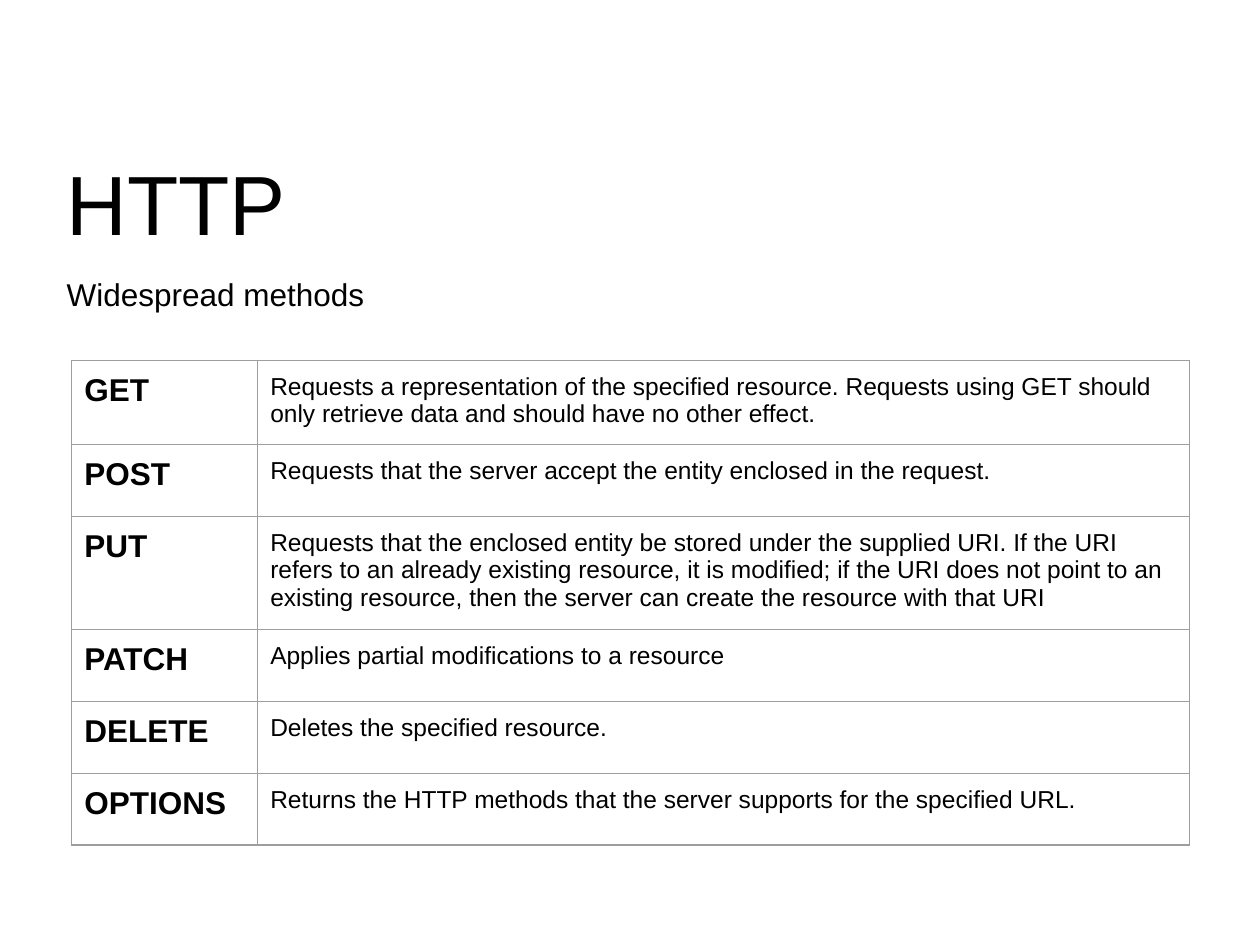
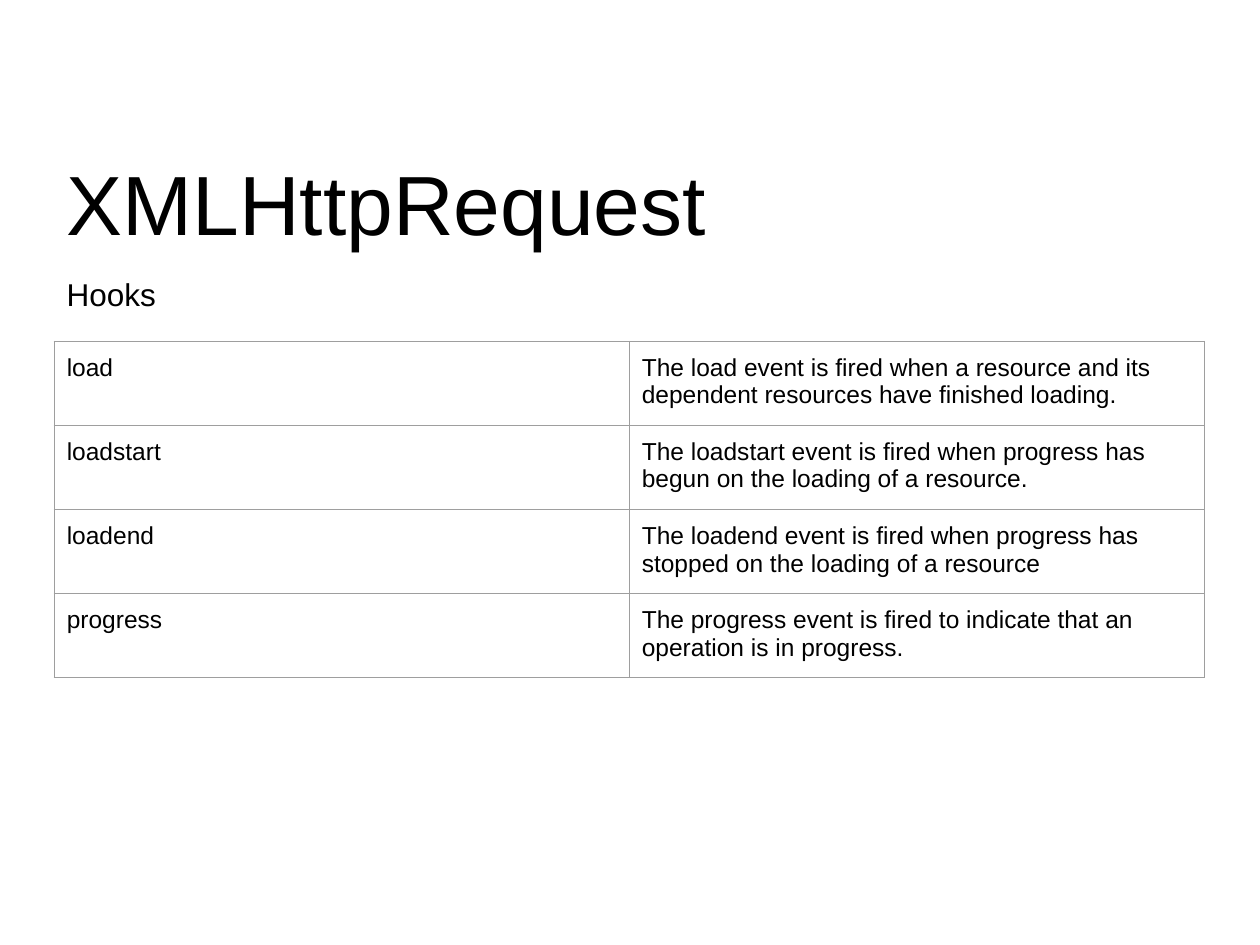
from lxml import etree
from pptx import Presentation
from pptx.dml.color import RGBColor
from pptx.enum import text
from pptx.oxml import ns
from pptx.util import Pt

BLACK = RGBColor(0, 0, 0)
WHITE = RGBColor(255, 255, 255)
GREY = RGBColor(0x9E, 0x9E, 0x9E)
FACE = "Arial"
LEFT = 30.96
PAD = 7.2
RULE = 0.75

HEAD = {"size": Pt(48)}
SUB = {"size": Pt(18)}
NAME = {"size": Pt(18), "bold": True}
BODY = {"size": Pt(14), "bold": False}

PAGES = [
    {
        "head": "HTTP", "sub": "Widespread methods",
        "tall": 67.68, "wide": 668.88,
        "at": (41.04, 205.92),
        "cols": (106.2, 532.4),
        "rows": [36.72] + [41.04] * 5,
        "looks": (NAME, BODY),
        "cells": [
            ("GET", "Requests a representation of the specified resource. "
                    "Requests using GET should only retrieve data and should "
                    "have no other effect."),
            ("POST", "Requests that the server accept the entity enclosed in "
                     "the request."),
            ("PUT", "Requests that the enclosed entity be stored under the "
                    "supplied URI. If the URI refers to an already existing "
                    "resource, it is modified; if the URI does not point to "
                    "an existing resource, then the server can create the "
                    "resource with that URI"),
            ("PATCH", "Applies partial modifications to a resource"),
            ("DELETE", "Deletes the specified resource."),
            ("OPTIONS", "Returns the HTTP methods that the server supports "
                        "for the specified URL."),
        ],
    },
    {
        "head": "XMLHttpRequest", "sub": "Hooks",
        "tall": 84.96, "wide": 658.8,
        "at": (LEFT, 195.12),
        "cols": (328.6, 328.6),
        "rows": [33.3] * 4,
        "looks": (BODY, BODY),
        "cells": [
            ("load", "The load event is fired when a resource and its "
                     "dependent resources have finished loading."),
            ("loadstart", "The loadstart event is fired when progress has "
                          "begun on the loading of a resource."),
            ("loadend", "The loadend event is fired when progress has "
                        "stopped on the loading of a resource"),
            ("progress", "The progress event is fired to indicate that an "
                         "operation is in progress."),
        ],
    },
]


def write(frame, words, look):
    run = frame.paragraphs[0].add_run()
    run.text = words
    run.font.name = FACE
    run.font.color.rgb = BLACK
    for key, value in look.items():
        setattr(run.font, key, value)


def label(slide, words, look, box, top):
    """Add a text box; top is its upper inset."""
    frame = slide.shapes.add_textbox(*map(Pt, box)).text_frame
    frame.word_wrap = True
    frame.vertical_anchor = text.MSO_ANCHOR.TOP
    for side in ("left", "right", "bottom"):
        setattr(frame, "margin_" + side, Pt(PAD))
    frame.margin_top = Pt(top)
    write(frame, words, look)


def edge(cell):
    """Draw the four borders of a cell, which must precede its fill."""
    props = cell._tc.get_or_add_tcPr()
    for spot, side in enumerate("LRTB"):
        line = etree.Element(ns.qn("a:ln" + side), w=str(Pt(RULE)))
        fill = etree.SubElement(line, ns.qn("a:solidFill"))
        etree.SubElement(fill, ns.qn("a:srgbClr"), val=str(GREY))
        props.insert(spot, line)


def grid(slide, page):
    cols, rows = page["cols"], page["rows"]
    size = (sum(cols), sum(rows))
    table = slide.shapes.add_table(
        len(rows), len(cols), *map(Pt, page["at"] + size)).table
    table.first_row = table.horz_banding = False
    for col, wide in zip(table.columns, cols):
        col.width = Pt(wide)
    for row, tall, line in zip(table.rows, rows, page["cells"]):
        row.height = Pt(tall)
        for cell, words, look in zip(row.cells, line, page["looks"]):
            for side in ("left", "right", "top", "bottom"):
                setattr(cell, "margin_" + side, Pt(PAD))
            cell.fill.background()
            edge(cell)
            write(cell.text_frame, words, look)


def main():
    deck = Presentation()
    deck.slide_width, deck.slide_height = Pt(720), Pt(540)
    for page in PAGES:
        slide = deck.slides.add_slide(deck.slide_layouts[6])
        slide.background.fill.solid()
        slide.background.fill.fore_color.rgb = WHITE
        label(slide, page["head"], HEAD,
              (LEFT, 73.44, 668.88, page["tall"]), 13)
        label(slide, page["sub"], SUB,
              (LEFT, 148.32, page["wide"], 34.56), 9)
        grid(slide, page)
    deck.save("out.pptx")


if __name__ == "__main__":
    main()
